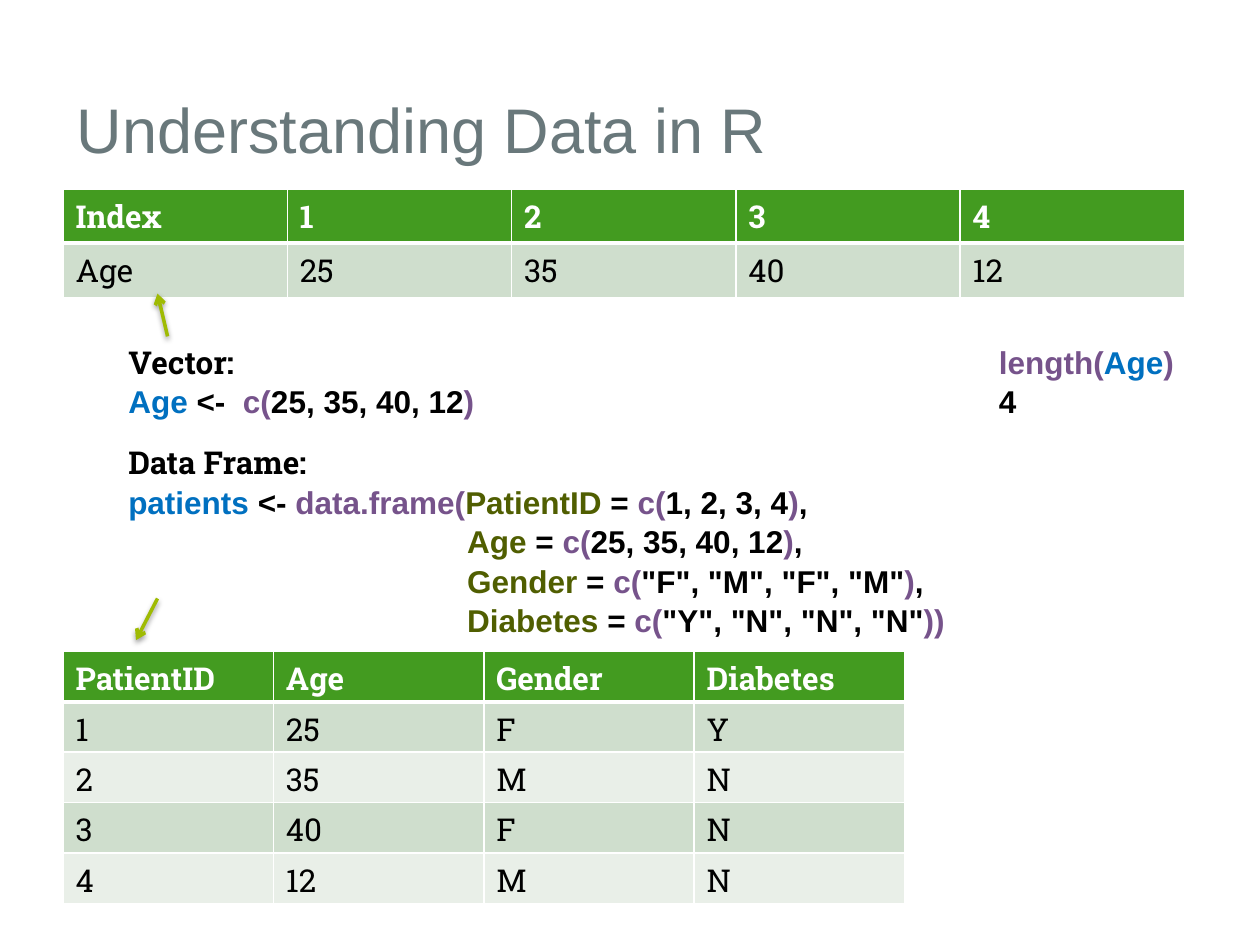
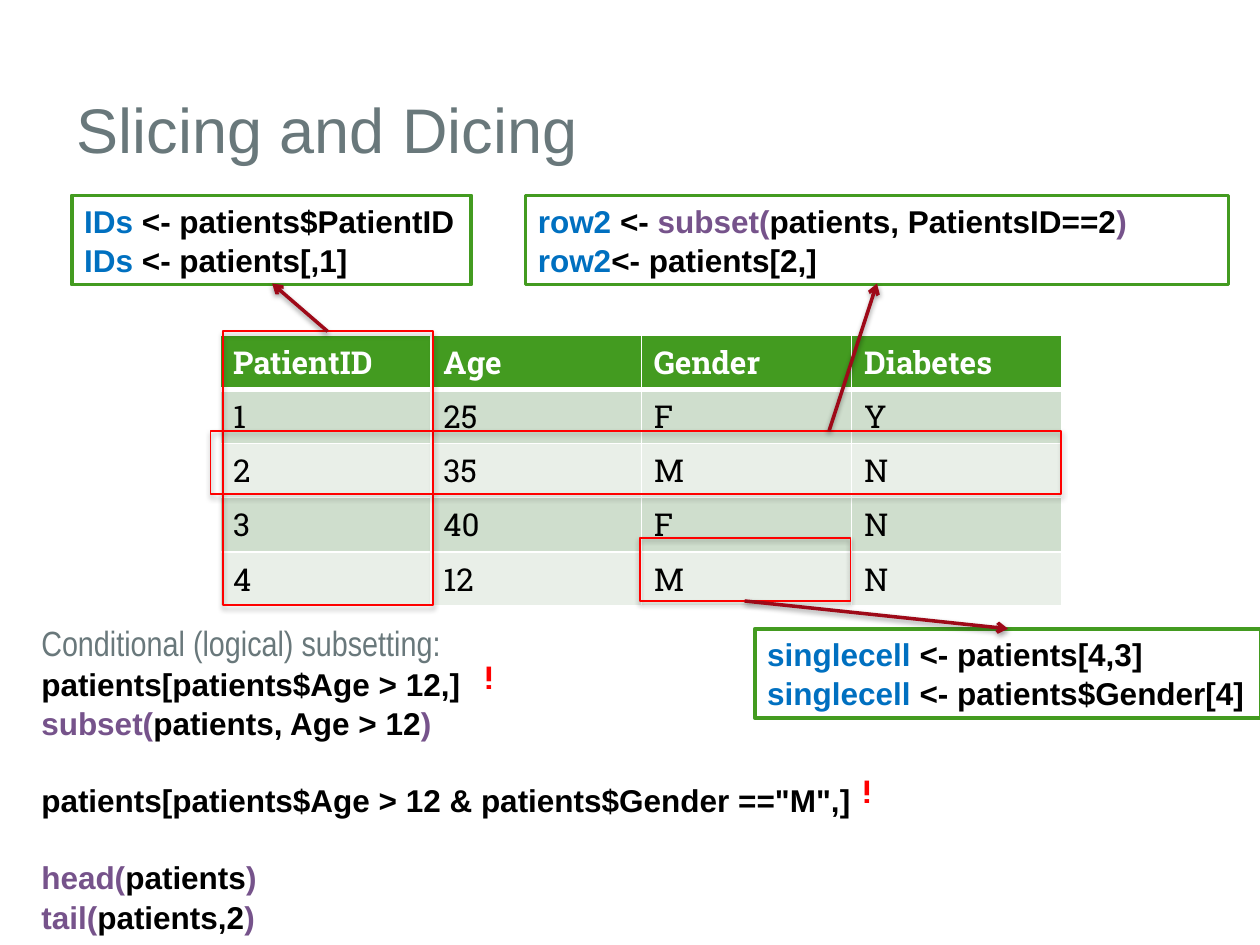
from dataclasses import dataclass

from lxml import etree
from pptx import Presentation
from pptx.dml.color import RGBColor
from pptx.enum.shapes import MSO_CONNECTOR, MSO_SHAPE
from pptx.enum.text import MSO_ANCHOR, PP_ALIGN
from pptx.oxml.ns import qn
from pptx.util import Inches, Pt

RECTANGLE = MSO_SHAPE.RECTANGLE
STRAIGHT = MSO_CONNECTOR.STRAIGHT
MIDDLE, TOP = MSO_ANCHOR.MIDDLE, MSO_ANCHOR.TOP
LEFT = PP_ALIGN.LEFT

COLORS = {
    "title": "69787B",
    "header": "439B20",
    "odd_row": "CFDECD",
    "even_row": "E9EFE8",
    "white": "FFFFFF",
    "plain": "000000",
    "variable": "0070C0",
    "function": "76538B",
    "argument": "505E01",
    "lime": "9FBB03",
    "crimson": "9E0918",
    "red": "FF0000",
}
SANS, NARROW, SLAB = "Arial", "Arial Narrow", "Roboto Slab"
ARGUMENT_INDENT = 2.69
CODE_GAP = 0.9  # points above a line of code
BLANK_LINE = 22.5

PATIENTS = [
    ("PatientID", "Age", "Gender", "Diabetes"),
    ("1", "25", "F", "Y"),
    ("2", "35", "M", "N"),
    ("3", "40", "F", "N"),
    ("4", "12", "M", "N"),
]
AGES = [("Index", "1", "2", "3", "4"), ("Age", "25", "35", "40", "12")]


@dataclass(frozen=True)
class Box:
    left: float
    top: float
    width: float
    height: float

    def lengths(self) -> list:
        return [Inches(v) for v in (self.left, self.top, self.width, self.height)]


@dataclass(frozen=True)
class Line:
    """One paragraph; runs are (text, colour name) pairs."""
    runs: tuple
    font: str = SANS
    size: float = 18
    bold: bool = True
    indent: float = 0
    before: float = CODE_GAP


@dataclass(frozen=True)
class Callout:
    """A framed piece of code, the cells it selects and the arrow between."""
    frame: Box
    code: tuple
    cells: Box
    start: tuple
    end: tuple
    wrap: bool = False


def code(*runs: tuple, **options) -> Line:
    return Line(runs, **options)


def heading(text: str) -> Line:
    return Line(((text, "plain"),), font=SLAB, before=0)


def argument(name: str, values: str, *ending: tuple) -> Line:
    return code((name, "argument"), (" = ", "plain"), ("c(", "function"),
                (values, "plain"), *ending, indent=ARGUMENT_INDENT)


def rgb(name: str) -> RGBColor:
    return RGBColor.from_string(COLORS[name])


def write(frame, lines, wrap: bool = True, anchor=TOP) -> None:
    frame.word_wrap = wrap
    frame.vertical_anchor = anchor
    for index, line in enumerate(lines):
        paragraph = frame.paragraphs[0] if index == 0 else frame.add_paragraph()
        paragraph.alignment = LEFT
        paragraph.space_before = Pt(line.before)
        if line.indent:
            paragraph._p.get_or_add_pPr().set("marL", str(Inches(line.indent)))
        font = paragraph.font
        font.name, font.size, font.bold = line.font, Pt(line.size), line.bold
        for text, color in line.runs:
            run = paragraph.add_run()
            run.text = text
            run.font.color.rgb = rgb(color)


def add_text(slide, box: Box, lines, wrap: bool = True, anchor=TOP) -> None:
    write(slide.shapes.add_textbox(*box.lengths()).text_frame, lines, wrap, anchor)


def add_title(slide, text: str) -> None:
    title = Line(((text, "title"),), size=36, bold=False, before=0)
    add_text(slide, Box(0.51, 0.48, 7.91, 1.07), [title], anchor=MIDDLE)


def add_shadow(shape, opacity: int, distance: float) -> None:
    effects = etree.SubElement(shape._element.spPr, qn("a:effectLst"))
    shadow = etree.SubElement(
        effects, qn("a:outerShdw"), blurRad=str(Pt(3.1)), dist=str(Pt(distance)),
        dir="5400000", rotWithShape="0")
    black = etree.SubElement(shadow, qn("a:srgbClr"), val=COLORS["plain"])
    etree.SubElement(black, qn("a:alpha"), val=str(opacity * 1000))


def add_arrow(slide, start: tuple, end: tuple, color: str) -> None:
    arrow = slide.shapes.add_connector(
        STRAIGHT, *(Inches(v) for v in (*start, *end)))
    arrow.line.color.rgb = rgb(color)
    arrow.line.width = Pt(2)
    etree.SubElement(arrow.line._get_or_add_ln(), qn("a:tailEnd"), type="arrow")
    add_shadow(arrow, 38, 1.6)


def add_selection(slide, box: Box) -> None:
    selection = slide.shapes.add_shape(RECTANGLE, *box.lengths())
    selection.fill.background()
    selection.line.color.rgb = rgb("red")
    selection.line.width = Pt(1)
    add_shadow(selection, 35, 1.8)


def add_code_frame(slide, box: Box, lines, wrap: bool) -> None:
    frame = slide.shapes.add_shape(RECTANGLE, *box.lengths())
    frame.shadow.inherit = False
    frame.fill.solid()
    frame.fill.fore_color.rgb = rgb("white")
    frame.line.color.rgb = rgb("header")
    frame.line.width = Pt(2)
    write(frame.text_frame, lines, wrap)


def add_callout(slide, callout: Callout) -> None:
    add_selection(slide, callout.cells)
    add_code_frame(slide, callout.frame, callout.code, callout.wrap)
    add_arrow(slide, callout.start, callout.end, "crimson")


def set_borders(cell, row: int) -> None:
    """White cell edges, thicker between the header and the first row."""
    properties = cell._tc.get_or_add_tcPr()
    thick_side = {0: "B", 1: "T"}.get(row)
    for index, side in enumerate("LRTB"):
        width = Pt(3 if side == thick_side else 1)
        edge = etree.Element(qn(f"a:ln{side}"), w=str(width))
        fill = etree.SubElement(edge, qn("a:solidFill"))
        etree.SubElement(fill, qn("a:srgbClr"), val=COLORS["white"])
        properties.insert(index, edge)


def add_data_table(slide, rows, left: float, top: float, column_width: float,
                   row_height: float = 0.43, bottom_margin: float = 0.05) -> None:
    columns = len(rows[0])
    box = Box(left, top, column_width * columns, row_height * len(rows))
    table = slide.shapes.add_table(len(rows), columns, *box.lengths()).table
    for column in table.columns:
        column.width = Inches(column_width)
    for r, values in enumerate(rows):
        table.rows[r].height = Inches(row_height)
        is_header = r == 0
        fill = "header" if is_header else "odd_row" if r % 2 else "even_row"
        color = "white" if is_header else "plain"
        for c, value in enumerate(values):
            cell = table.cell(r, c)
            cell.margin_bottom = Inches(bottom_margin)
            cell.fill.solid()
            cell.fill.fore_color.rgb = rgb(fill)
            set_borders(cell, r)
            write(cell.text_frame,
                  [Line(((value, color),), font=SLAB, bold=is_header, before=0)])


def build_understanding(slide) -> None:
    add_title(slide, "Understanding Data in R")
    add_data_table(slide, AGES, 0.5, 1.5, 1.78)
    add_text(slide, Box(0.92, 2.67, 6.08, 0.71), [
        heading("Vector:"),
        code(("Age ", "variable"), ("<-  ", "plain"), ("c(", "function"),
             ("25, 35, 40, 12", "plain"), (")", "function")),
    ])
    close, comma = (")", "function"), (",", "plain")
    add_text(slide, Box(0.92, 3.47, 7.33, 1.62), [
        heading("Data Frame:"),
        code(("patients", "variable"), (" <- ", "plain"),
             ("data.frame(", "function"), ("PatientID", "argument"),
             (" = ", "plain"), ("c(", "function"), ("1, 2, 3, 4", "plain"),
             close, comma),
        argument("Age", "25, 35, 40, 12", close, comma),
        argument("Gender", '"F", "M", "F", "M"', close, comma),
        argument("Diabetes", '"Y", "N", "N", "N"', ("))", "function")),
    ])
    add_data_table(slide, PATIENTS, 0.5, 5.17, 1.67, 0.4, 0.02)
    add_arrow(slide, (1.33, 2.67), (1.25, 2.33), "lime")
    add_arrow(slide, (1.25, 4.75), (1.08, 5.08), "lime")
    add_text(slide, Box(7.83, 2.67, 1.6, 0.71), [
        code(("length(", "function"), ("Age", "variable"), (")", "function")),
        code(("4", "plain")),
    ], wrap=False)


CALLOUTS = [
    Callout(
        Box(0.57, 1.55, 3.17, 0.71),
        (code(("IDs", "variable"), (" <- patients$PatientID", "plain")),
         code(("IDs", "variable"), (" <- patients[,1]", "plain"))),
        Box(1.77, 2.63, 1.67, 2.17), (2.6, 2.63), (2.16, 2.25)),
    Callout(
        Box(4.17, 1.55, 5.58, 0.71),
        (code(("row2", "variable"), (" <- ", "plain"), ("subset(", "function"),
              ("patients, PatientsID==2", "plain"), (")", "function")),
         code(("row2", "variable"), ("<- patients[2,]", "plain"))),
        Box(1.67, 3.42, 6.75, 0.5), (6.58, 3.42), (6.96, 2.25), wrap=True),
    Callout(
        Box(5.99, 4.99, 4.02, 0.71),
        (code(("singlecell ", "variable"), ("<- patients[4,3]", "plain")),
         code(("singlecell ", "variable"), ("<- patients$Gender[4]", "plain"))),
        Box(5.08, 4.27, 1.67, 0.5), (5.91, 4.77), (8, 4.99)),
]


def build_slicing(slide) -> None:
    add_title(slide, "Slicing and Dicing")
    add_data_table(slide, PATIENTS, 1.75, 2.66, 1.67)
    for callout in CALLOUTS:
        add_callout(slide, callout)
    add_text(slide, Box(0.23, 4.88, 7.1, 2.86), [
        Line((("Conditional (logical) subsetting:", "title"),),
             font=NARROW, size=20, bold=False),
        code(("patients[patients$Age > 12,]", "plain")),
        code(("subset(", "function"), ("patients, Age > 12", "plain"),
             (")", "function")),
        code(('patients[patients$Age > 12 & patients$Gender =="M",]', "plain"),
             before=BLANK_LINE),
        code(("head(", "function"), ("patients", "plain"), (")", "function"),
             before=BLANK_LINE),
        code(("tail(", "function"), ("patients,2", "plain"), (")", "function")),
    ])
    for left, top in ((3.75, 5.17), (6.75, 6.08)):
        mark = Line((("!", "red"),), font=SLAB, before=0)
        add_text(slide, Box(left, top, 0.25, 0.4), [mark])


def main() -> None:
    deck = Presentation()
    deck.slide_width, deck.slide_height = Inches(10), Inches(7.5)
    blank = deck.slide_layouts[6]
    for build in (build_understanding, build_slicing):
        build(deck.slides.add_slide(blank))
    deck.save("out.pptx")


if __name__ == "__main__":
    main()
